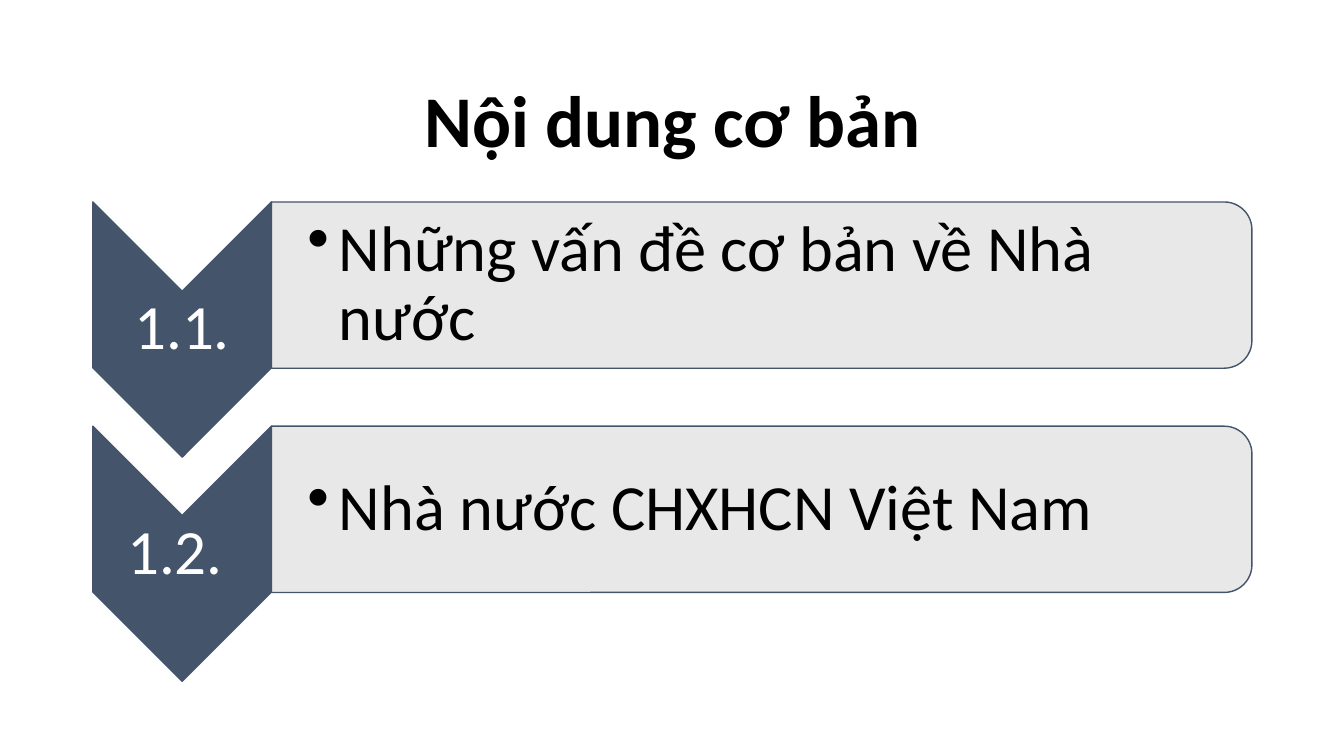
import pptx
import pptx.util
import pptx.dml.color
import pptx.enum.shapes
import pptx.enum.text
import pptx.oxml.ns
from dataclasses import dataclass
from lxml import etree

Cm, Pt = pptx.util.Cm, pptx.util.Pt
SHAPE = pptx.enum.shapes.MSO_SHAPE
ALIGN = pptx.enum.text.PP_ALIGN
qn = pptx.oxml.ns.qn


@dataclass(frozen=True)
class Theme:
    font: str = "Calibri"
    dark: str = "44546A"
    pale: str = "E7E6E6"
    ink: str = "000000"
    white: str = "FFFFFF"
    head: int = 52
    label: int = 45
    body: int = 46


class Deck:
    def __init__(self, theme):
        self.theme = theme
        self.prs = pptx.Presentation()
        self.prs.slide_width, self.prs.slide_height = Cm(33.87), Cm(19.05)
        self.slide = self.prs.slides.add_slide(self.prs.slide_layouts[5])

    def color(self, code):
        return pptx.dml.color.RGBColor.from_string(code)

    def set_text(self, shape, text, size, color, align, bold=False, inset=None):
        frame = shape.text_frame
        frame.word_wrap = True
        frame.auto_size = pptx.enum.text.MSO_AUTO_SIZE.NONE
        frame.vertical_anchor = pptx.enum.text.MSO_ANCHOR.MIDDLE
        if inset is not None:
            frame.margin_left = Cm(inset)
            frame.margin_top = frame.margin_right = frame.margin_bottom = Cm(0.08)
        para = frame.paragraphs[0]
        para.text = text
        para.alignment = align
        para.line_spacing = 0.9
        font = para.font
        font.name, font.size, font.bold = self.theme.font, Pt(size), bold
        font.color.rgb = self.color(color)

    def title(self, text, box):
        shape = self.slide.shapes.title
        shape.left, shape.top, shape.width, shape.height = map(Cm, box)
        self.set_text(shape, text, self.theme.head, self.theme.ink,
                      ALIGN.CENTER, True)

    def block(self, kind, box, fill, alpha=None):
        """Draw a preset shape turned a quarter so that it fills the box."""
        left, top, width, height = box
        shift = (width - height) / 2
        shape = self.slide.shapes.add_shape(
            kind, Cm(left + shift), Cm(top - shift), Cm(height), Cm(width))
        shape.rotation = 90
        shape.shadow.inherit = False
        shape.fill.solid()
        shape.fill.fore_color.rgb = self.color(fill)
        shape.line.color.rgb = self.color(self.theme.dark)
        shape.line.width = Pt(1)
        if alpha:
            tint = shape._element.spPr.find(qn("a:solidFill"))[0]
            etree.SubElement(tint, qn("a:alpha"), val=str(alpha * 1000))

    def label(self, text, box):
        shape = self.slide.shapes.add_textbox(*map(Cm, box))
        self.set_text(shape, text, self.theme.label, self.theme.white,
                      ALIGN.CENTER, inset=0.08)

    def bullet(self, text, box):
        shape = self.slide.shapes.add_textbox(*map(Cm, box))
        props = shape.text_frame.paragraphs[0]._p.get_or_add_pPr()
        props.set("marL", str(Cm(0.79)))
        props.set("indent", str(-Cm(0.79)))
        etree.SubElement(props, qn("a:buChar"), char="•")
        self.set_text(shape, text, self.theme.body, self.theme.ink,
                      ALIGN.LEFT, inset=0.91)


def main():
    theme = Theme()
    deck = Deck(theme)
    deck.title("Nội dung cơ bản", (2.34, 1.55, 29.21, 3.15))

    # One chevron and one bar for each topic
    topics = [("1.1.", "Những vấn đề cơ bản về Nhà nước"),
              ("1.2. ", "Nhà nước CHXHCN Việt Nam")]
    left, first, pitch = 2.34, 5.09, 5.65
    wide, tall = 4.5, 6.43
    for row, (mark, topic) in enumerate(topics):
        top = first + row * pitch
        edge = left + wide
        deck.block(SHAPE.CHEVRON, (left, top, wide, tall), theme.dark)
        deck.label(mark, (left, top + wide / 2, wide, tall - wide))
        deck.block(SHAPE.ROUND_2_SAME_RECTANGLE, (edge, top, 24.71, 4.19),
                   theme.pale, 90)
        deck.bullet(topic, (edge, top + 0.2, 24.51, 3.78))

    deck.prs.save("out.pptx")


if __name__ == "__main__":
    main()
